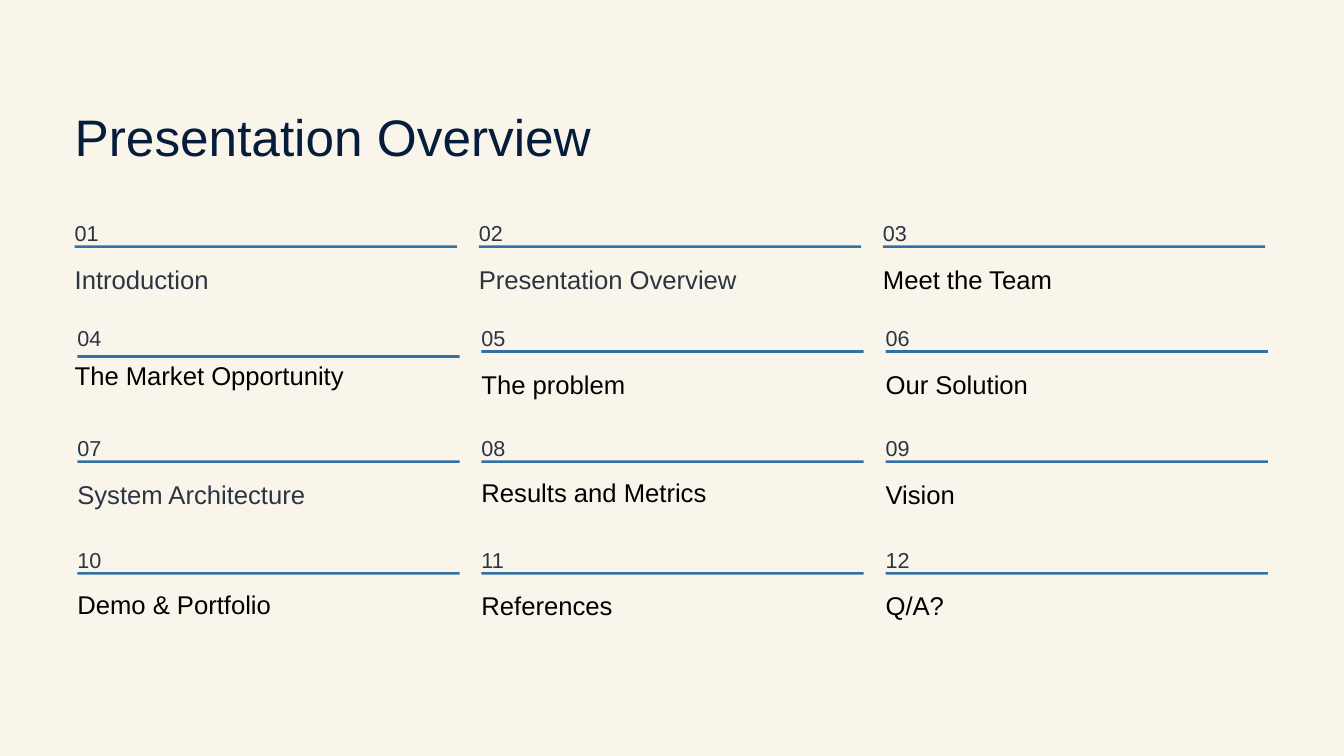
"""Build the presentation overview slide with its twelve numbered topics."""
from dataclasses import dataclass
from typing import Optional

from pptx import Presentation
from pptx.dml.color import RGBColor
from pptx.enum.shapes import MSO_SHAPE as Shape
from pptx.slide import Slide
from pptx.util import Cm, Pt

CREAM = RGBColor(0xFA, 0xF5, 0xEB)
NAVY = RGBColor(0x05, 0x1D, 0x3A)
SLATE = RGBColor(0x2B, 0x35, 0x41)
BLACK = RGBColor(0x00, 0x00, 0x00)
BLUE = RGBColor(0x33, 0x71, 0xA5)

FONT = "Arial"
COLUMNS = 3
COLUMN_PITCH = 12.22
RULE_WIDTH = 11.56
RULE_HEIGHT = 0.08
RULE_DROP = 1.04
NAME_DROP = 1.55
ROW_LEFTS = (2.26, 2.34, 2.34, 2.34)
ROW_TOPS = (6.38, 9.55, 12.88, 16.26)


@dataclass(frozen=True)
class TextStyle:
    size: float
    color: RGBColor
    spacing: Optional[float] = None


@dataclass(frozen=True)
class Topic:
    name: str
    color: RGBColor = BLACK
    spacing: Optional[float] = 27.5
    width: float = 7.82
    height: float = 0.97
    rule_shift: float = 0
    name_left_shift: float = 0
    name_top_shift: float = 0


TITLE_STYLE = TextStyle(44, NAVY, 55)
NUMBER_STYLE = TextStyle(18.5, SLATE, 30)

TOPICS = (
    Topic("Introduction", SLATE),
    Topic("Presentation Overview", SLATE, width=8.86),
    Topic("Meet the Team"),
    Topic("The Market Opportunity", width=9.04, height=1.52, rule_shift=0.15,
          name_left_shift=-0.08, name_top_shift=-0.25),
    Topic("The problem"),
    Topic("Our Solution"),
    Topic("System Architecture", SLATE),
    Topic("Results and Metrics", spacing=None, width=8.86),
    Topic("Vision"),
    Topic("Demo & Portfolio", spacing=None),
    Topic("References"),
    Topic("Q/A?"),
)


def add_text(page: Slide, text: str, left: float, top: float, width: float,
             height: float, style: TextStyle) -> None:
    """Add a text box without margins."""
    box = page.shapes.add_textbox(Cm(left), Cm(top), Cm(width), Cm(height))
    frame = box.text_frame
    frame.margin_left = frame.margin_right = 0
    frame.margin_top = frame.margin_bottom = 0
    frame.word_wrap = True
    frame.text = text
    para = frame.paragraphs[0]
    if style.spacing is not None:
        para.line_spacing = Pt(style.spacing)
    span = para.runs[0]
    span.font.name = FONT
    span.font.size = Pt(style.size)
    span.font.color.rgb = style.color


def add_rule(page: Slide, left: float, top: float) -> None:
    """Add the thin bar under a topic number."""
    rule = page.shapes.add_shape(Shape.RECTANGLE, Cm(left), Cm(top),
                                 Cm(RULE_WIDTH), Cm(RULE_HEIGHT))
    rule.shadow.inherit = False
    rule.fill.solid()
    rule.fill.fore_color.rgb = BLUE
    rule.line.fill.background()


def add_topic(page: Slide, index: int, topic: Topic) -> None:
    """Add the number, rule and name of one topic in the grid."""
    row, column = divmod(index, COLUMNS)
    left = ROW_LEFTS[row] + column * COLUMN_PITCH
    top = ROW_TOPS[row]
    add_text(page, f"{index + 1:02d}", left, top, 1.24, 0.95, NUMBER_STYLE)
    add_rule(page, left, top + RULE_DROP + topic.rule_shift)
    add_text(page, topic.name, left + topic.name_left_shift,
             top + NAME_DROP + topic.name_top_shift, topic.width, topic.height,
             TextStyle(22, topic.color, topic.spacing))


def main() -> None:
    """Create the deck and save it."""
    deck = Presentation()
    deck.slide_width, deck.slide_height = Cm(40.64), Cm(22.86)
    page = deck.slides.add_slide(deck.slide_layouts[6])
    page.background.fill.solid()
    page.background.fill.fore_color.rgb = CREAM
    add_text(page, "Presentation Overview", 2.26, 3.1, 16.76, 1.96, TITLE_STYLE)
    for index, topic in enumerate(TOPICS):
        add_topic(page, index, topic)
    deck.save("out.pptx")


if __name__ == "__main__":
    main()
